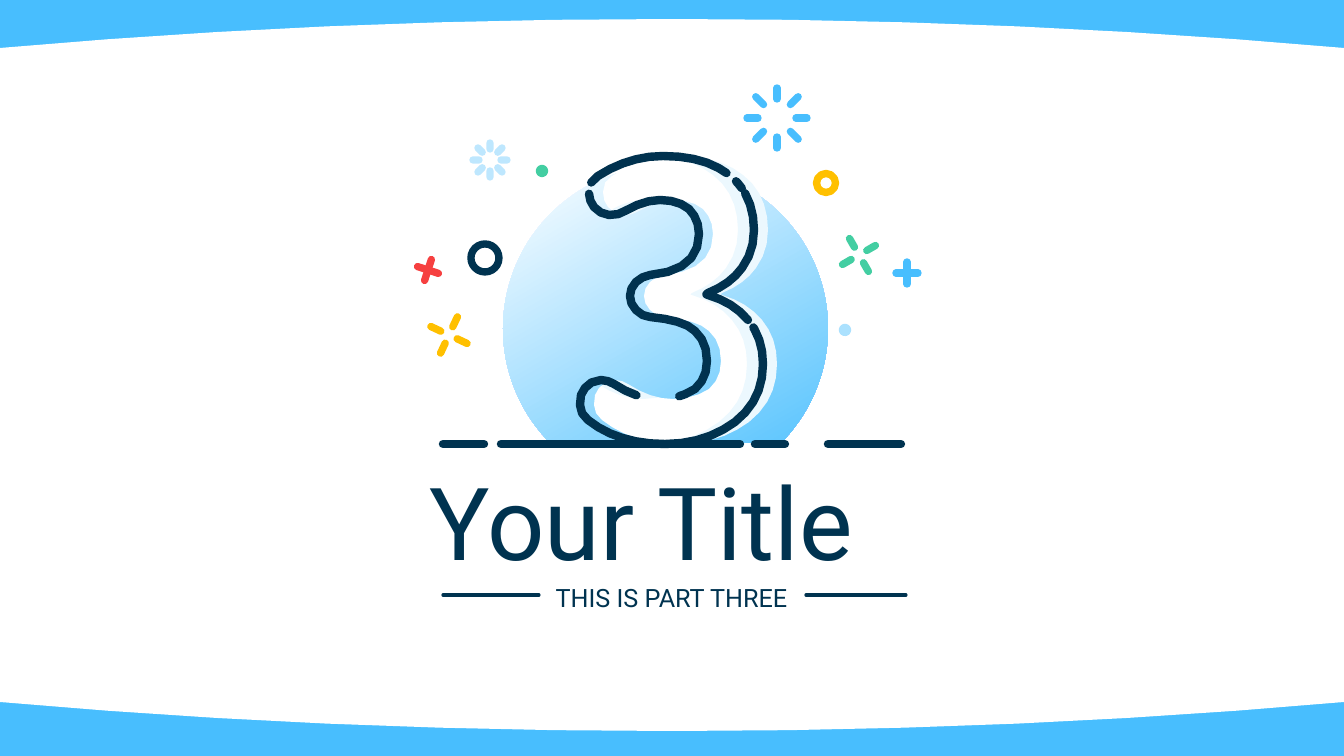
import math
from dataclasses import dataclass

from lxml import etree
from pptx import Presentation
from pptx import util as u
from pptx.dml.color import RGBColor
from pptx.enum import shapes, text
from pptx.oxml.ns import qn

PX = 914400 / 100.8
COLOURS = {
    "sky": "48BEFE", "pale": "86D3FE", "white": "FFFFFF", "navy": "003350",
    "ink": "01324F", "green": "43CEA2", "yellow": "FFC000", "red": "F64040",
}
Point = tuple[float, float]
Span = tuple[float, float]


@dataclass
class Burst:
    centre: Point
    inner: int
    outer: int
    rays: int
    step: int
    turn: int
    colour: str
    opacity: int = 100


@dataclass
class Ring:
    centre: Point
    diameter: int
    colour: str
    opacity: int = 100


@dataclass
class Rule:
    left: int
    right: int
    y: int
    points: float


@dataclass
class Label:
    words: str
    box: tuple[int, int, int, int]
    size: int
    align: text.PP_ALIGN


@dataclass
class Shade:
    """Band between part of the numeral's edge and part of its shifted edge."""
    edge: Span
    shifted: Span


BURSTS = [
    Burst((859, 255), 9, 19, 4, 90, -30, "green"),
    Burst((907, 273), -11, 11, 2, 90, 0, "sky"),
    Burst((490, 160), 11, 17, 8, 45, 0, "pale", 52),
    Burst((777, 118), 19, 30, 8, 45, 0, "sky"),
    Burst((428, 270), -11, 11, 2, 90, 18, "red"),
    Burst((449, 335), 9, 20, 4, 90, 25, "yellow"),
]
RINGS = [
    Ring((826, 183), 19, "yellow"), Ring((542, 171), 5, "green"),
    Ring((845, 330), 5, "sky", 46), Ring((485, 258), 28, "navy"),
]
GROUND = [(501, 671), (443, 484), (668, 740), (828, 901), (755, 785)]
RULES = [Rule(left, right, 444, 6) for left, right in GROUND]
RULES += [Rule(443, 539, 595, 2.25), Rule(806, 906, 595, 2.25)]
LABELS = [
    Label("Your Title", (420, 455, 504, 132), 72, text.PP_ALIGN.LEFT),
    Label("THIS IS PART THREE", (540, 577, 263, 40), 18, text.PP_ALIGN.CENTER),
]
PANEL_TOP = [(0, 48), (214, 29), (434, 19), (672, 19), (910, 19), (1130, 29), (1344, 48)]
# Bezier chain: a start, then two handles and an end for each curve
THREE = [
    (679, 444), (648, 444), (622, 436), (602, 420), (597, 416), (594, 411), (594, 405),
    (594, 397), (595, 392), (599, 388), (602, 384), (608, 380), (615, 380),
    (620, 380), (625, 382), (628, 384), (643, 394), (658, 399), (673, 399),
    (688, 399), (700, 395), (709, 389), (717, 382), (721, 373), (721, 361),
    (721, 348), (717, 338), (709, 331), (701, 323), (685, 319), (664, 317),
    (659, 317), (654, 314), (650, 310), (646, 306), (644, 301), (644, 296),
    (644, 291), (646, 286), (650, 282), (654, 278), (659, 276), (664, 275),
    (697, 272), (713, 258), (713, 234), (713, 223), (709, 215), (703, 209),
    (696, 203), (686, 200), (674, 200), (663, 200), (651, 204), (639, 211),
    (635, 214), (630, 215), (623, 215), (617, 214), (612, 212), (608, 207),
    (605, 204), (603, 198), (603, 192), (603, 184), (606, 180), (612, 176),
    (632, 163), (654, 156), (677, 156), (705, 156), (727, 162), (743, 175),
    (760, 188), (768, 207), (768, 230), (768, 245), (764, 257), (756, 268),
    (748, 279), (737, 287), (722, 293), (720, 294), (720, 295), (722, 295),
    (739, 300), (752, 308), (762, 320), (772, 332), (777, 346), (777, 364),
    (777, 388), (768, 407), (749, 422), (730, 436), (707, 444), (679, 444),
]
# Spans count curves along the numeral; 32 curves make one lap
SHADES = [
    Shade((3.3, 5.5), (4.1, 6.4)),
    Shade((17.4, 19.5), (16.5, 17.9)),
    Shade((22.8, 32), (23.2, 31.8)),
]
STROKES = [(29.2, 37.5), (6.5, 20.9), (24.4, 29), (24.15, 24.3), (21.5, 23.95)]


def emu(px: float) -> int:
    return round(px * PX)


def rgb(name: str) -> RGBColor:
    return RGBColor.from_string(COLOURS[name])


def trace(chain: list[Point], span: Span, shift: int = 0) -> list[Point]:
    """Points along part of a Bezier chain, more of them on longer curves."""
    first, last = span
    times = [first]
    for curve in range(int(first), math.ceil(last)):
        pieces = min(6, 2 + int(math.dist(chain[3 * curve], chain[3 * curve + 3]) // 20))
        marks = [curve + step / pieces for step in range(pieces)]
        times += [mark for mark in marks if first < mark < last]
    points = []
    for time in times + [last]:
        curve = min(int(time), len(chain) // 3 - 1)
        t = time - curve
        weights = ((1 - t) ** 3, 3 * t * (1 - t) ** 2, 3 * t * t * (1 - t), t ** 3)
        x, y = (sum(w * p[axis] for w, p in zip(weights, chain[3 * curve:3 * curve + 4]))
                for axis in (0, 1))
        points.append((x + shift, y))
    return points


def set_opacity(shape, percent: int) -> None:
    if percent < 100:
        for colour in shape._element.spPr.iter(qn("a:srgbClr")):
            etree.SubElement(colour, qn("a:alpha")).set("val", str(percent * 1000))


def set_line(shape, colour: str, points: float) -> None:
    shape.line.color.rgb = rgb(colour)
    shape.line.width = u.Pt(points)
    line = shape._element.spPr.find(qn("a:ln"))
    line.set("cap", "rnd")
    etree.SubElement(line, qn("a:round"))


def add_outline(slide, contours: list[list[Point]], closed: bool = True):
    builder = None
    for contour in contours:
        start, *rest = [(emu(x), emu(y)) for x, y in contour]
        if builder is None:
            builder = slide.shapes.build_freeform(*start, scale=1.0)
        else:
            builder.move_to(*start)
        builder.add_line_segments(rest, close=closed)
    shape = builder.convert_to_shape()
    shape.shadow.inherit = False
    shape.fill.background()
    shape.line.fill.background()
    return shape


def add_area(slide, contour: list[Point], colour: str, opacity: int = 100) -> None:
    shape = add_outline(slide, [contour])
    shape.fill.solid()
    shape.fill.fore_color.rgb = rgb(colour)
    set_opacity(shape, opacity)


def add_stroke(parent, start: Point, end: Point, colour: str, points: float, opacity: int = 100) -> None:
    connector = parent.shapes.add_connector(
        shapes.MSO_CONNECTOR.STRAIGHT, *map(emu, (*start, *end)))
    set_line(connector, colour, points)
    etree.SubElement(connector._element.spPr, qn("a:effectLst"))
    set_opacity(connector, opacity)


def add_burst(slide, burst: Burst) -> None:
    group = slide.shapes.add_group_shape()
    x, y = burst.centre
    for ray in range(burst.rays):
        angle = math.radians(burst.turn + ray * burst.step)
        inner, outer = [(x + r * math.cos(angle), y + r * math.sin(angle))
                        for r in (burst.inner, burst.outer)]
        add_stroke(group, outer, inner, burst.colour, 5.25, burst.opacity)


def add_ring(slide, ring: Ring) -> None:
    left, top = (c - ring.diameter / 2 for c in ring.centre)
    shape = slide.shapes.add_shape(
        shapes.MSO_SHAPE.OVAL, *map(emu, (left, top, ring.diameter, ring.diameter)))
    shape.shadow.inherit = False
    shape.fill.background()
    set_line(shape, ring.colour, 5.25)
    set_opacity(shape, ring.opacity)


def add_sun(slide) -> None:
    sun = slide.shapes.add_shape(shapes.MSO_SHAPE.CHORD, *map(emu, (503, 166, 325, 325)))
    sun.adjustments[0], sun.adjustments[1] = 81.12, 26.87
    sun.shadow.inherit = False
    sun.line.fill.background()
    sun.fill.gradient()
    sun.fill.gradient_angle = 300
    for stop, colour in zip(sun.fill.gradient_stops, ("white", "sky")):
        stop.color.rgb = rgb(colour)


def add_label(slide, label: Label) -> None:
    frame = slide.shapes.add_textbox(*map(emu, label.box)).text_frame
    frame.word_wrap = False
    frame.auto_size = text.MSO_AUTO_SIZE.SHAPE_TO_FIT_TEXT
    paragraph = frame.paragraphs[0]
    paragraph.alignment = label.align
    run = paragraph.add_run()
    run.text = label.words
    run.font.name, run.font.size = "Roboto", u.Pt(label.size)
    run.font.color.rgb = rgb("navy")


def add_numeral(slide) -> None:
    add_area(slide, trace(THREE, (0, 32)), "white")
    for shade in SHADES:
        band = trace(THREE, shade.edge) + trace(THREE, shade.shifted, -30)[::-1]
        add_area(slide, band, "sky", 10)
    laps = THREE + THREE[1:]
    strokes = add_outline(slide, [trace(laps, span, -14) for span in STROKES], closed=False)
    set_line(strokes, "ink", 6)


def main() -> None:
    presentation = Presentation()
    presentation.slide_width, presentation.slide_height = emu(1344), emu(756)
    slide = presentation.slides.add_slide(presentation.slide_layouts[6])
    slide.background.fill.solid()
    slide.background.fill.fore_color.rgb = rgb("sky")
    top = trace(PANEL_TOP, (0, 2))
    add_area(slide, top + [(x, 750 - y) for x, y in reversed(top)], "white")
    add_sun(slide)
    for label in LABELS:
        add_label(slide, label)
    for burst in BURSTS:
        add_burst(slide, burst)
    for ring in RINGS:
        add_ring(slide, ring)
    add_numeral(slide)
    for rule in RULES:
        add_stroke(slide, (rule.left, rule.y), (rule.right, rule.y), "navy", rule.points)
    presentation.save("out.pptx")


if __name__ == "__main__":
    main()
